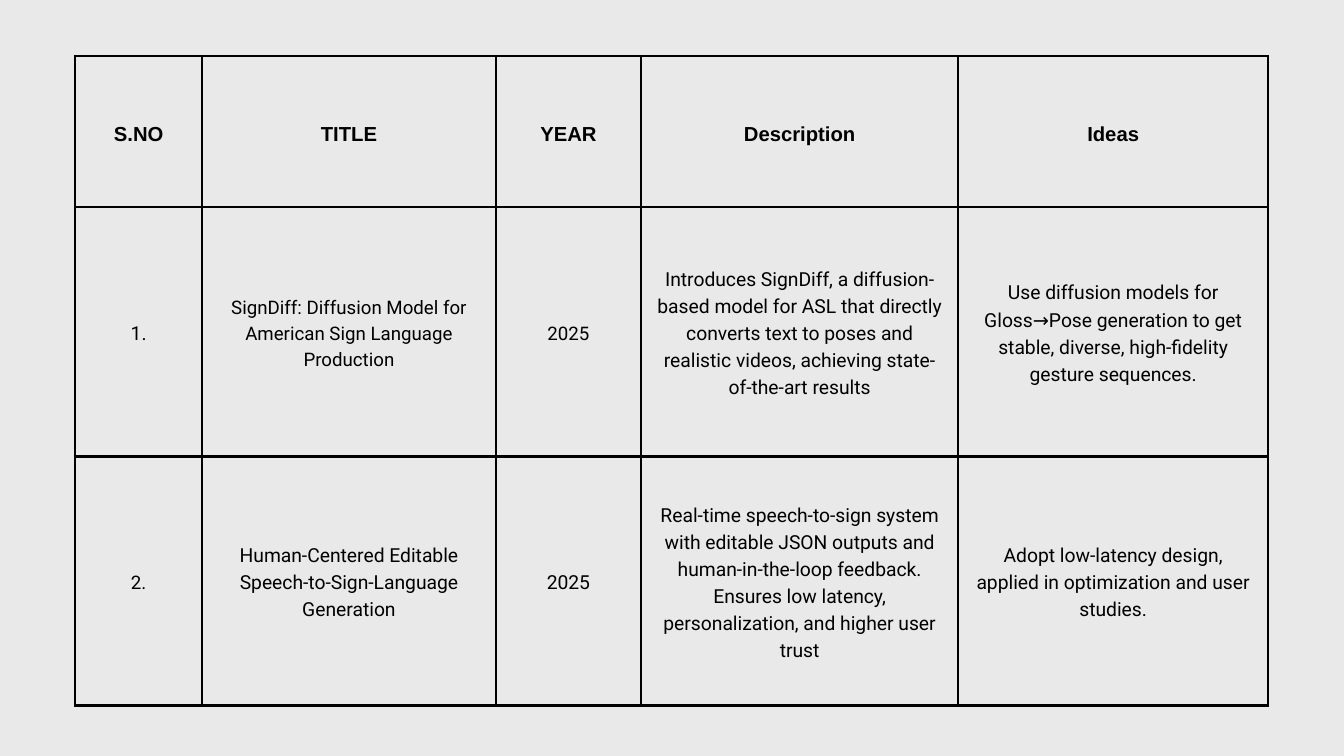
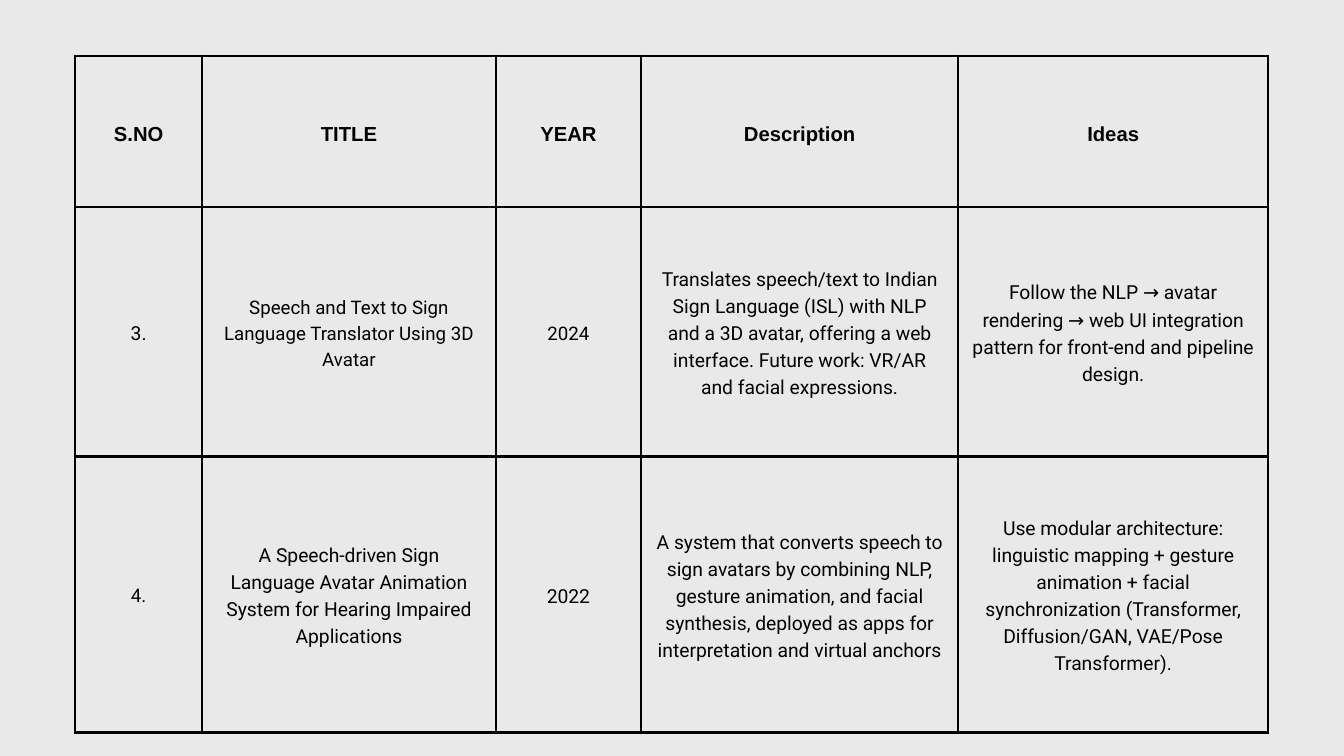
from dataclasses import dataclass
from itertools import product

from lxml.etree import SubElement
from pptx import Presentation
from pptx.dml.color import RGBColor
from pptx.enum.text import MSO_VERTICAL_ANCHOR as Anchor, PP_PARAGRAPH_ALIGNMENT as Align
from pptx.oxml.ns import qn
from pptx.util import Cm, Pt

BACKGROUND, INK = "E9E9E9", "000000"
LEFT, TOP, MARGIN = Cm(2.84), Cm(2.11), Cm(0.53)
COL_WIDTHS = [Cm(w) for w in (4.8, 11.1, 5.49, 11.99, 11.71)]
HEADER_HEIGHT, ROW_HEIGHT, TALL_ROW_HEIGHT = Cm(5.72), Cm(9.42), Cm(10.44)
BORDER_WIDTH = Pt(3)
LINE_FACTOR = 1.4
HEADINGS = ("S.NO", "TITLE", "YEAR", "Description", "Ideas")


@dataclass(frozen=True)
class TextStyle:
    """Font of a table cell."""
    font: str
    size: float
    bold: bool = False


@dataclass(frozen=True)
class Paper:
    """One surveyed paper, a row of the table."""
    number: str
    title: str
    year: str
    description: str
    ideas: str
    height: int = ROW_HEIGHT

    def texts(self) -> tuple[str, ...]:
        """Return the cell texts from left to right."""
        return self.number, self.title, self.year, self.description, self.ideas


HEADING = TextStyle("Arial", 21.7, True)
BODY = TextStyle("Roboto", 20.7)
COMPACT = TextStyle("Roboto", 20)
COMPACT_CELLS = {(1, 1), (1, 2), (2, 0)}

SLIDES = (
    (
        Paper("1.", "SignDiff: Diffusion Model for American Sign Language Production", "2025",
              "Introduces SignDiff, a diffusion-based model for ASL that directly converts text "
              "to poses and realistic videos, achieving state-of-the-art results",
              "Use diffusion models for Gloss→Pose generation to get stable, diverse, "
              "high-fidelity gesture sequences."),
        Paper("2.", "Human-Centered Editable Speech-to-Sign-Language Generation", "2025",
              "Real-time speech-to-sign system with editable JSON outputs and human-in-the-loop "
              "feedback. Ensures low latency, personalization, and higher user trust",
              "Adopt low-latency design, applied in optimization and user studies."),
    ),
    (
        Paper("3.", "Speech and Text to Sign Language Translator Using 3D Avatar", "2024",
              "Translates speech/text to Indian Sign Language (ISL) with NLP and a 3D avatar, "
              "offering a web interface. Future work: VR/AR and facial expressions.",
              "Follow the NLP → avatar rendering → web UI integration pattern for front-end "
              "and pipeline design."),
        Paper("4.", "A Speech-driven Sign Language Avatar Animation System for Hearing Impaired "
              "Applications", "2022",
              "A system that converts speech to sign avatars by combining NLP, gesture animation, "
              "and facial synthesis, deployed as apps for interpretation and virtual anchors",
              "Use modular architecture: linguistic mapping + gesture animation + facial "
              "synchronization (Transformer, Diffusion/GAN, VAE/Pose Transformer).",
              TALL_ROW_HEIGHT),
    ),
)


def color(value: str) -> RGBColor:
    """Turn a hex string into a colour."""
    return RGBColor.from_string(value)


def style_at(row: int, col: int) -> TextStyle:
    """Choose the text style for a table position."""
    if row == 0:
        return HEADING
    return COMPACT if (row, col) in COMPACT_CELLS else BODY


def add_borders(cell) -> None:
    """Draw a solid line on all four sides of a cell."""
    tc_pr = cell._tc.get_or_add_tcPr()
    for side in ("lnL", "lnR", "lnT", "lnB"):
        line = SubElement(tc_pr, qn(f"a:{side}"), w=str(BORDER_WIDTH))
        fill = SubElement(line, qn("a:solidFill"))
        SubElement(fill, qn("a:srgbClr"), val=INK)


def write_cell(cell, text: str, style: TextStyle) -> None:
    """Fill a cell with centred text."""
    add_borders(cell)
    cell.fill.background()
    cell.vertical_anchor = Anchor.MIDDLE
    cell.margin_left = cell.margin_right = cell.margin_top = cell.margin_bottom = MARGIN
    p = cell.text_frame.paragraphs[0]
    p.text = text
    p.alignment = Align.CENTER
    p.line_spacing = Pt(round(style.size * LINE_FACTOR, 1))
    font = p.runs[0].font
    font.name, font.size, font.bold = style.font, Pt(style.size), style.bold
    font.color.rgb = color(INK)


def add_survey(prs, papers: tuple[Paper, ...]) -> None:
    """Add a slide with the table of papers."""
    s = prs.slides.add_slide(prs.slide_layouts[6])
    s.background.fill.solid()
    s.background.fill.fore_color.rgb = color(BACKGROUND)
    heights = [HEADER_HEIGHT, *(paper.height for paper in papers)]
    texts = [HEADINGS, *(paper.texts() for paper in papers)]
    table = s.shapes.add_table(len(heights), len(COL_WIDTHS), LEFT, TOP,
                               sum(COL_WIDTHS), sum(heights)).table
    table.first_row = table.horz_banding = False
    for column, width in zip(table.columns, COL_WIDTHS):
        column.width = width
    for row, height in zip(table.rows, heights):
        row.height = height
    for row, col in product(range(len(heights)), range(len(COL_WIDTHS))):
        write_cell(table.cell(row, col), texts[row][col], style_at(row, col))


def main() -> None:
    """Build and save the presentation."""
    prs = Presentation()
    prs.slide_width, prs.slide_height = Cm(50.8), Cm(28.58)
    for papers in SLIDES:
        add_survey(prs, papers)
    prs.save("out.pptx")


if __name__ == "__main__":
    main()
